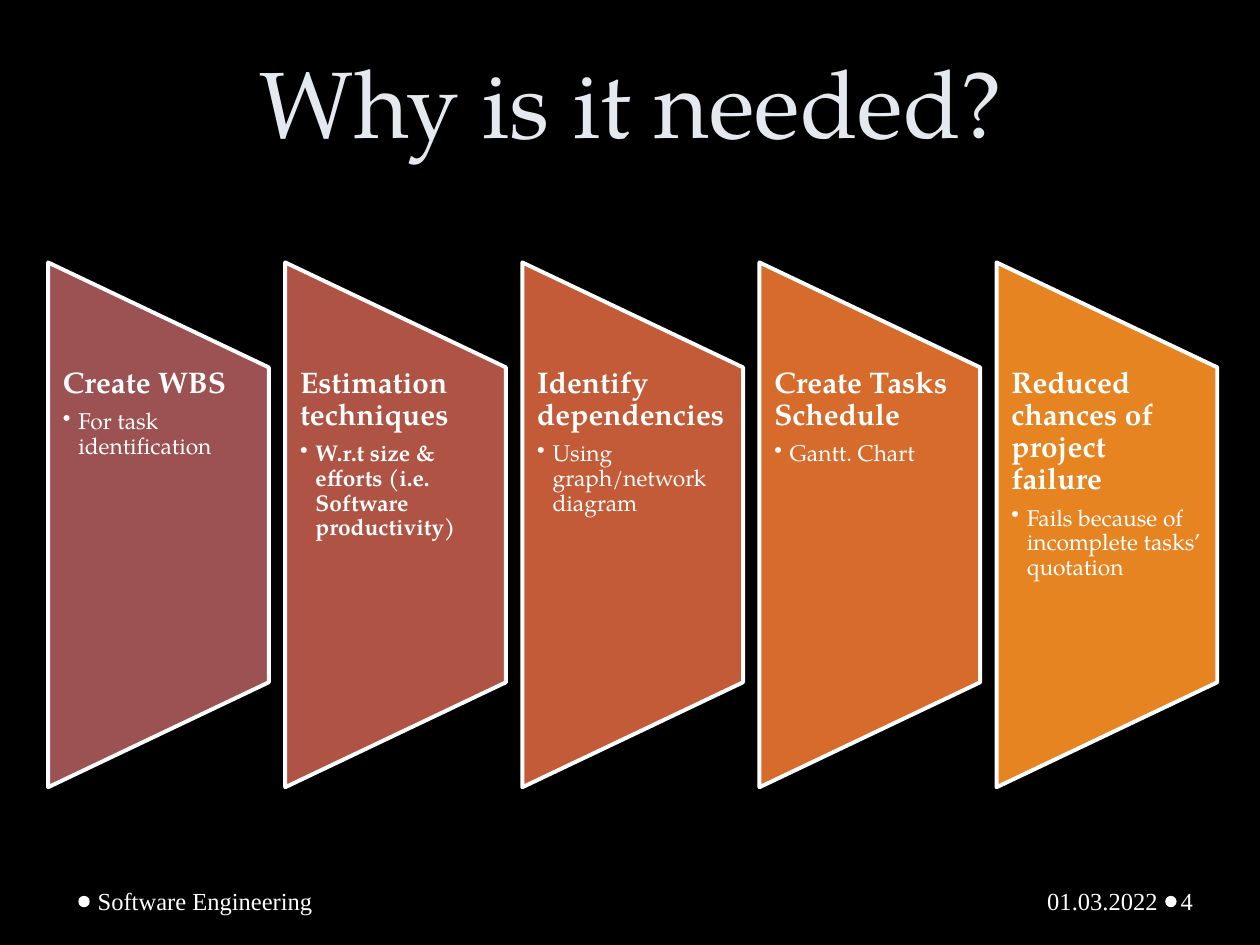
from lxml import etree
from pptx import Presentation
from pptx.dml.color import RGBColor
from pptx.enum.shapes import MSO_SHAPE
from pptx.enum.text import MSO_ANCHOR, PP_ALIGN
from pptx.oxml.ns import qn
from pptx.util import Cm, Pt

TRAPEZOID = MSO_SHAPE.FLOWCHART_MANUAL_OPERATION
DOT = MSO_SHAPE.OVAL
TOP, MIDDLE, BOTTOM = MSO_ANCHOR.TOP, MSO_ANCHOR.MIDDLE, MSO_ANCHOR.BOTTOM
LEFT, CENTER, RIGHT = PP_ALIGN.LEFT, PP_ALIGN.CENTER, PP_ALIGN.RIGHT

SERIF = "TeX Gyre Pagella"
FOOTER_FONT = "Times New Roman"
COLOURS = {
    "background": "000000",
    "title": "E4E9EF",
    "white": "FFFFFF",
    "plum": "9C5252",
    "brick": "AF5345",
    "rust": "C35B38",
    "orange": "D66B2B",
    "amber": "E68422",
}

# Heading, detail, panel colour, detail in bold
REASONS = [
    ("Create WBS", "For task identification", "plum", False),
    ("Estimation techniques",
     "W.r.t size & efforts (i.e. Software productivity)", "brick", True),
    ("Identify dependencies", "Using graph/network diagram", "rust", False),
    ("Create Tasks Schedule", "Gantt. Chart", "orange", False),
    ("Reduced chances of project failure",
     "Fails because of incomplete tasks’ quotation", "amber", False),
]


def rgb(colour):
    return RGBColor.from_string(COLOURS[colour])


def add_text_frame(slide, left, top, width, height, anchor, insets):
    """Add a wrapping text box; insets are left, top, right, bottom in cm."""
    box = slide.shapes.add_textbox(Cm(left), Cm(top), Cm(width), Cm(height))
    frame = box.text_frame
    frame.word_wrap = True
    frame.vertical_anchor = anchor
    (frame.margin_left, frame.margin_top,
     frame.margin_right, frame.margin_bottom) = map(Cm, insets)
    return frame


def write(paragraph, text, font_name, size, colour="white", bold=False, align=LEFT):
    paragraph.text = text
    paragraph.alignment = align
    font = paragraph.font
    font.name, font.size, font.bold = font_name, Pt(size), bold
    font.color.rgb = rgb(colour)


def add_bullet(paragraph, indent):
    properties = paragraph._p.get_or_add_pPr()
    properties.set("marL", str(Cm(indent)))
    properties.set("indent", str(-Cm(indent)))
    etree.SubElement(properties, qn("a:buChar")).set("char", "•")


def add_title(slide, left, top, width, height):
    frame = add_text_frame(slide, left, top, width, height, BOTTOM,
                           (0.25, 0.13, 0.25, 0.13))
    title = frame.paragraphs[0]
    title.line_spacing = Pt(58)
    write(title, "Why is it needed?", SERIF, 54, "title", align=CENTER)


def add_panel(slide, left, top, width, height, reason):
    heading_text, detail_text, colour, detail_bold = reason

    # The trapezoid is turned a quarter about the centre of the panel.
    panel = slide.shapes.add_shape(
        TRAPEZOID, Cm(left + (width - height) / 2), Cm(top + (height - width) / 2),
        Cm(height), Cm(width))
    panel.rotation = 270
    panel.shadow.inherit = False
    panel.fill.solid()
    panel.fill.fore_color.rgb = rgb(colour)
    panel.line.color.rgb = rgb("white")
    panel.line.width = Pt(2.25)

    frame = add_text_frame(slide, left, top + height / 5, width, height * 3 / 5,
                           TOP, (0.3, 0, 0.3, 0))
    heading, detail = frame.paragraphs[0], frame.add_paragraph()
    heading.line_spacing = detail.line_spacing = 0.9
    heading.space_after, detail.space_after = Pt(6), Pt(2)
    add_bullet(detail, 0.31)
    write(heading, heading_text, SERIF, 17, bold=True)
    write(detail, detail_text, SERIF, 13, bold=detail_bold)


def add_panels(slide, left, top, width, height):
    panel_width = 4.45
    pitch = (width - panel_width) / (len(REASONS) - 1)
    for index, reason in enumerate(REASONS):
        add_panel(slide, left + index * pitch, top, panel_width, height, reason)


def add_footer(slide, left, top, width, height):
    dot_size = 0.23
    number_left = left + width - 1.55
    for dot_left in (left, number_left - dot_size):
        dot = slide.shapes.add_shape(DOT, Cm(dot_left), Cm(top + 0.41),
                                     Cm(dot_size), Cm(dot_size))
        dot.shadow.inherit = False
        dot.fill.solid()
        dot.fill.fore_color.rgb = rgb("white")
        dot.line.fill.background()

    date_width = 5.8
    parts = [
        ("Software Engineering", left + 0.26, 7.9, LEFT, 0.13, 0.25),
        ("01.03.2022", number_left - 0.25 - date_width, date_width, RIGHT, 0.25, 0.13),
        ("4", number_left, 1.55, LEFT, 0.08, 0.13),
    ]
    for text, part_left, part_width, align, inset_left, inset_right in parts:
        frame = add_text_frame(slide, part_left, top, part_width, height, MIDDLE,
                               (inset_left, 0.13, inset_right, 0.13))
        write(frame.paragraphs[0], text, FOOTER_FONT, 14, align=align)


def main():
    presentation = Presentation()
    presentation.slide_width, presentation.slide_height = Cm(25.4), Cm(19.05)
    slide = presentation.slides.add_slide(presentation.slide_layouts[6])
    slide.background.fill.solid()
    slide.background.fill.fore_color.rgb = rgb("background")

    add_title(slide, 1.3, 0.33, 22.86, 2.97)
    add_panels(slide, 0.97, 5.29, 23.57, 10.58)
    add_footer(slide, 1.58, 17.65, 23.69, 1.02)
    presentation.save("out.pptx")


if __name__ == "__main__":
    main()
